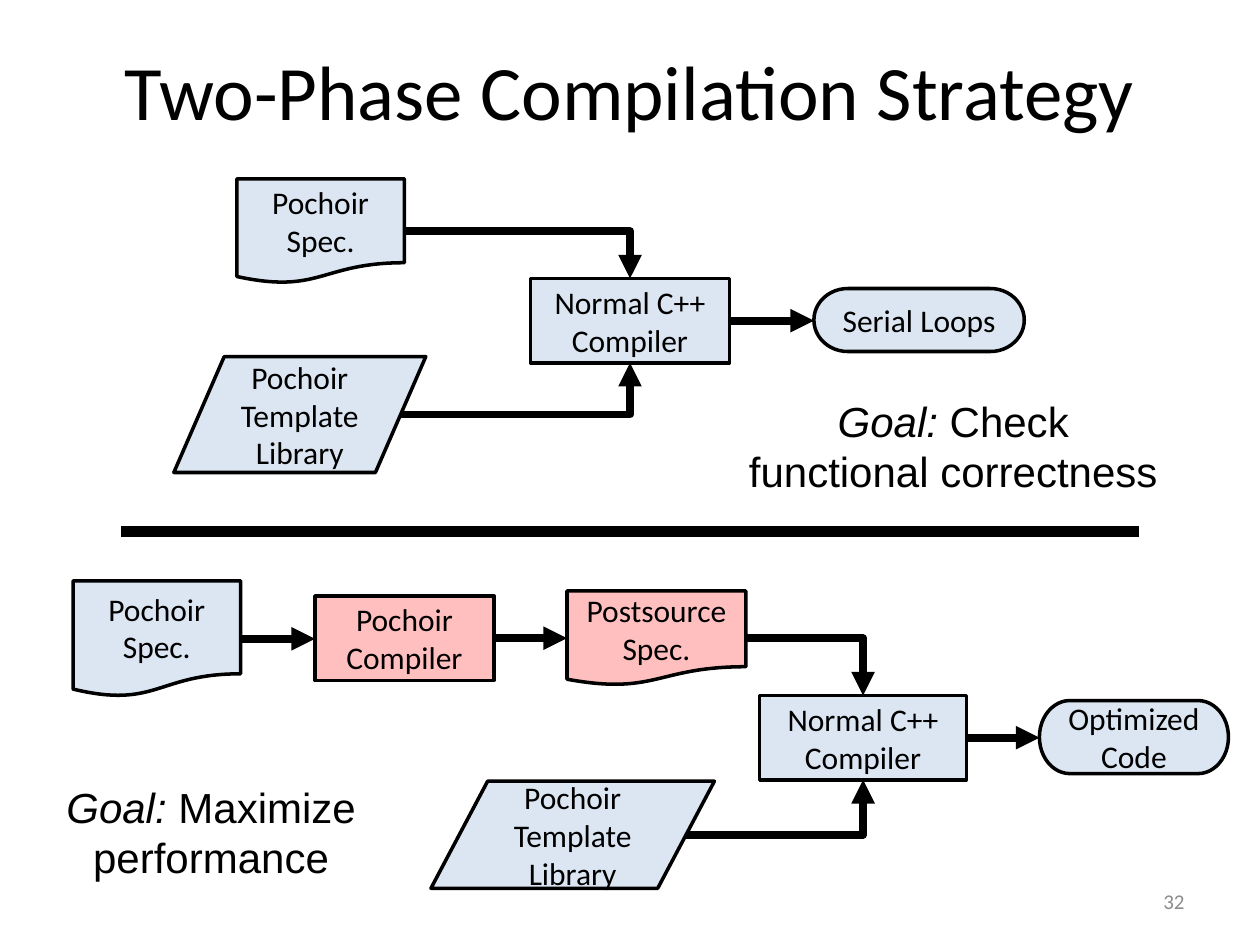
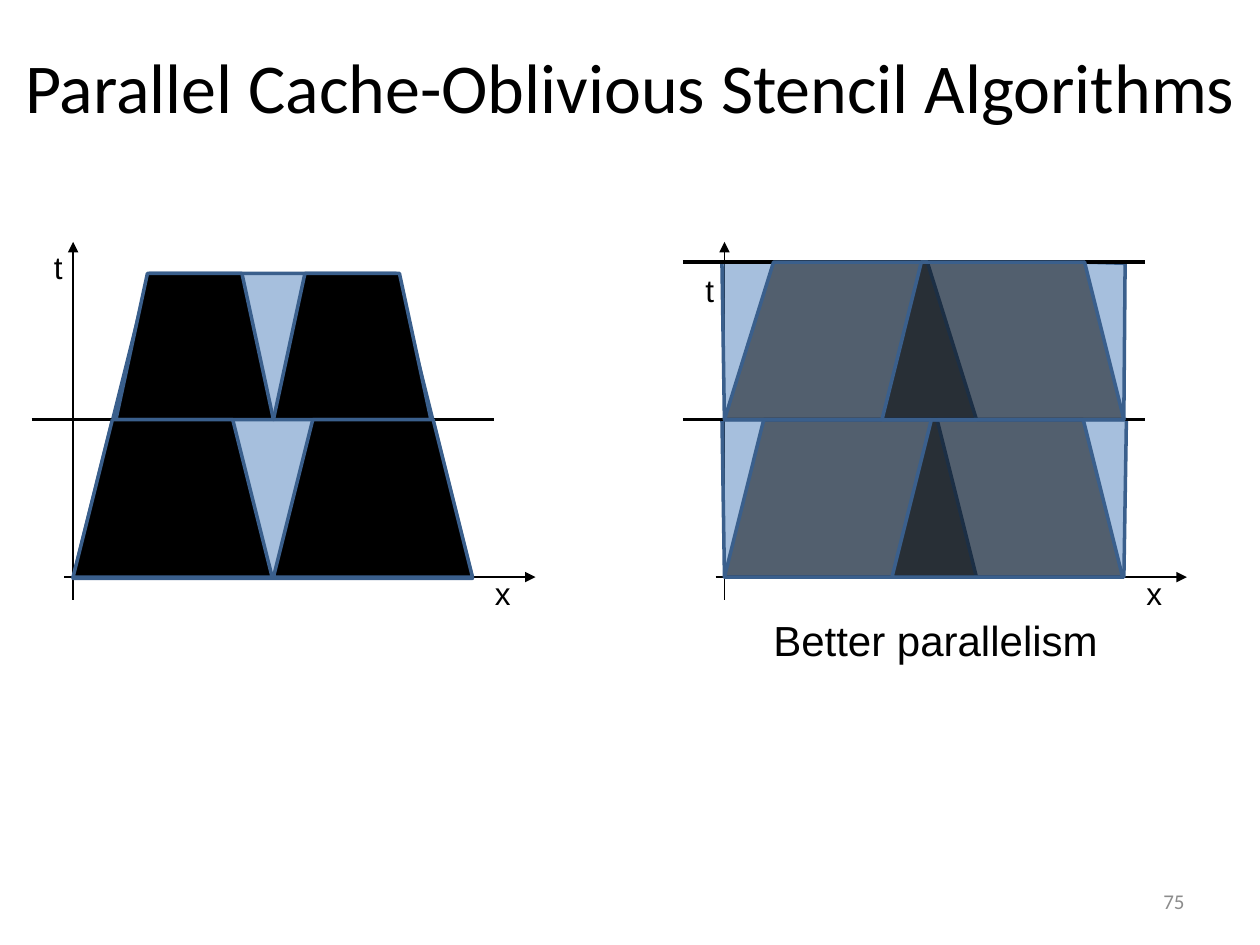
import pptx
import pptx.util
import pptx.dml.color
import pptx.enum.shapes
import pptx.enum.text
import pptx.oxml
import pptx.oxml.ns

RGB = pptx.dml.color.RGBColor
BLACK = RGB(0x00, 0x00, 0x00)
GREY = RGB(0x8C, 0x8C, 0x8C)
PALE = RGB(0xDC, 0xE6, 0xF2)
RED = RGB(0xFF, 0x00, 0x00)
BLUE = RGB(0x4F, 0x81, 0xBD)
EDGE = RGB(0x3A, 0x5F, 0x8C)

SHAPE = pptx.enum.shapes.MSO_SHAPE
DOCUMENT = SHAPE.FLOWCHART_DOCUMENT
DATA = SHAPE.FLOWCHART_DATA
PROCESS = SHAPE.FLOWCHART_PROCESS
TERMINATOR = SHAPE.FLOWCHART_TERMINATOR
STRAIGHT = pptx.enum.shapes.MSO_CONNECTOR.STRAIGHT
ALIGN = pptx.enum.text.PP_ALIGN
ANCHOR = pptx.enum.text.MSO_ANCHOR

WIDTH, HEIGHT = pptx.util.Inches(10), pptx.util.Inches(7.5)
COLS, ROWS = 10, 7.5
PANEL_STEP = 5.17
BASE, MIDDLE, TOP = 4.58, 3.33, 2.08


def col(n):
    """Convert grid columns to a length."""
    return round(WIDTH * n / COLS)


def row(n):
    """Convert grid rows to a length."""
    return round(HEIGHT * n / ROWS)


def grid(x, y, w, h):
    """Convert a grid rectangle to lengths."""
    return col(x), row(y), col(w), row(h)


def add_xml(parent, tag, **attributes):
    """Append a drawing element with attributes."""
    child = pptx.oxml.parse_xml(f'<a:{tag} {pptx.oxml.ns.nsdecls("a")}/>')
    for name, value in attributes.items():
        child.set(name, value)
    parent.append(child)


def write(tf, paragraphs, size, font, color=BLACK, align=ALIGN.CENTER):
    """Write paragraphs given as lists of (text, italic) runs."""
    for i, runs in enumerate(paragraphs):
        p = tf.add_paragraph() if i else tf.paragraphs[0]
        p.alignment = align
        for text, italic in runs:
            r = p.add_run()
            r.text = text
            r.font.size = pptx.util.Pt(size)
            r.font.name = font
            r.font.italic = italic
            r.font.color.rgb = color


def label(s, runs, box, size, font="Arial", color=BLACK, align=ALIGN.CENTER,
          anchor=ANCHOR.TOP, wrap=True):
    """Add a one-paragraph text box."""
    tf = s.shapes.add_textbox(*grid(*box)).text_frame
    tf.word_wrap = wrap
    tf.vertical_anchor = anchor
    write(tf, [runs], size, font, color, align)


def goal(s, text, box):
    """Add a goal statement with an italic lead-in."""
    label(s, [("Goal:", True), (" " + text, False)], box, 24)


def new_slide(prs, title, title_box, size, number):
    """Add a blank slide with its title and number."""
    s = prs.slides.add_slide(prs.slide_layouts[6])
    label(s, [(title, False)], title_box, size, "Calibri")
    label(s, [(str(number), False)], (7.17, 6.95, 2.33, 0.4), 12, "Calibri",
          GREY, ALIGN.RIGHT, ANCHOR.MIDDLE)
    return s


def paint(sp, fill, edge, opacity=100):
    """Set fill, outline and opacity of a shape."""
    sp.shadow.inherit = False
    sp.fill.solid()
    sp.fill.fore_color.rgb = fill
    sp.line.color.rgb = edge
    sp.line.width = pptx.util.Pt(2)
    if opacity < 100:
        solid = sp._element.spPr.find(pptx.oxml.ns.qn("a:solidFill"))
        add_xml(solid[0], "alpha", val=str(opacity * 1000))


def node(s, kind, text, box, fill=PALE, opacity=100):
    """Add a flowchart node, one paragraph per text line."""
    sp = s.shapes.add_shape(kind, *grid(*box))
    paint(sp, fill, BLACK, opacity)
    tf = sp.text_frame
    tf.word_wrap = True
    tf.vertical_anchor = ANCHOR.MIDDLE
    write(tf, [[(line, False)] for line in text.split("\n")], 18, "Calibri")
    return sp


def connect(s, start, end, weight, arrow=False):
    """Draw a straight line between two points."""
    c = s.shapes.add_connector(STRAIGHT, *start, *end)
    c.line.color.rgb = BLACK
    c.line.width = pptx.util.Pt(weight)
    if arrow:
        add_xml(c.line._get_or_add_ln(), "tailEnd", type="triangle")
    add_xml(c._element.spPr, "effectLst")
    return c


def rule(s, x0, y0, x1, y1, weight, arrow=False):
    """Draw a line between two grid points."""
    connect(s, (col(x0), row(y0)), (col(x1), row(y1)), weight, arrow)


def flow(s, src, dst):
    """Join nodes by an arrow, bent once when they are on different rows."""
    slant = src.width // 10 if src.auto_shape_type == DATA else 0
    x, y = src.left + src.width - slant, src.top + src.height // 2
    if dst.top < y < dst.top + dst.height:
        connect(s, (x, y), (dst.left, y), 4.5, True)
        return
    end_y = dst.top if y < dst.top else dst.top + dst.height
    c = connect(s, (x, y), (dst.left + dst.width // 2, end_y), 4.5, True)
    c._element.spPr.prstGeom.set("prst", "bentConnector2")


def trapezoid(s, box, fill, opacity=100):
    """Add a trapezoid of the space-time diagram."""
    paint(s.shapes.add_shape(SHAPE.TRAPEZOID, *grid(*box)), fill, EDGE, opacity)


def polygon(s, points, fill, opacity=100):
    """Add a closed outline through grid points."""
    corners = [(col(x), row(y)) for x, y in points]
    builder = s.shapes.build_freeform(*corners[0])
    builder.add_line_segments(corners[1:], close=True)
    paint(builder.convert_to_shape(), fill, EDGE, opacity)


def axes(s, left, t_top):
    """Draw the x and t axes with their labels."""
    rule(s, left + 0.51, BASE, left + 4.25, BASE, 0.75, True)
    rule(s, left + 0.58, 4.76, left + 0.58, 1.92, 0.75, True)
    for text, x, y, w in (("t", 0.33, t_top, 0.3), ("x", 3.83, 4.51, 0.35)):
        label(s, [(text, False)], (left + x, y, w, 0.4), 18,
              align=ALIGN.LEFT, wrap=False)


def time_cut(s, left, y):
    """Draw a horizontal time cut across a diagram."""
    rule(s, left + 0.25, y, left + 3.92, y, 2)


def compilation_slide(prs):
    """Build the slide on the two compilation phases."""
    s = new_slide(prs, "Two-Phase Compilation Strategy", (0.5, 0.3, 9, 1.25), 44, 32)
    spec_text, library_text = "Pochoir\nSpec.", "Pochoir Template Library"
    compiler_text = "Normal C++ Compiler"

    spec = node(s, DOCUMENT, spec_text, (1.88, 1.42, 1.33, 0.83))
    library = node(s, DATA, library_text, (1.38, 2.83, 2, 0.92))
    compiler = node(s, PROCESS, compiler_text, (4.21, 2.21, 1.58, 0.67))
    loops = node(s, TERMINATOR, "Serial Loops", (6.46, 2.29, 1.67, 0.5))
    goal(s, "Check functional correctness", (5.79, 3.09, 3.55, 0.91))
    links = [(spec, compiler), (library, compiler), (compiler, loops)]

    spec = node(s, DOCUMENT, spec_text, (0.58, 4.61, 1.33, 0.92))
    library = node(s, DATA, library_text, (3.42, 6.2, 2.25, 0.85))
    compiler = node(s, PROCESS, compiler_text, (6.03, 5.52, 1.64, 0.67))
    code = node(s, TERMINATOR, "Optimized Code", (8.25, 5.56, 1.5, 0.58))
    pochoir = node(s, PROCESS, "Pochoir\nCompiler", (2.5, 4.73, 1.42, 0.67), RED, 25)
    post = node(s, DOCUMENT, "Postsource\nSpec.", (4.5, 4.69, 1.42, 0.75), RED, 25)
    goal(s, "Maximize performance", (0.38, 6.15, 2.59, 0.91))
    links += [(spec, pochoir), (pochoir, post), (post, compiler),
              (library, compiler), (compiler, code)]

    rule(s, 0.96, 4.22, 9.04, 4.22, 6)
    for src, dst in links:
        flow(s, src, dst)


def stencil_slide(prs):
    """Build the slide comparing two space-time decompositions."""
    s = new_slide(prs, "Parallel Cache-Oblivious Stencil Algorithms",
                  (0, 0.3, 10, 0.7), 40, 75)
    axes(s, 0, 1.92)
    trapezoid(s, (0.58, 2.17, 3.17, 2.42), BLUE, 50)
    time_cut(s, 0, MIDDLE)
    for x in (0.92, 2.17):
        polygon(s, [(x, MIDDLE), (x + 0.25, 2.17), (x + 1, 2.17),
                    (x + 1.25, MIDDLE)], BLACK)
    for x in (0.58, 2.17):
        trapezoid(s, (x, MIDDLE, 1.58, 1.25), BLACK)

    axes(s, PANEL_STEP, 2.1)
    polygon(s, [(5.75, BASE), (5.73, MIDDLE), (8.94, MIDDLE), (8.92, BASE)], BLUE, 50)
    time_cut(s, PANEL_STEP, MIDDLE)
    trapezoid(s, (5.75, MIDDLE, 2, 1.25), BLACK, 50)
    trapezoid(s, (7.08, MIDDLE, 1.83, 1.25), BLACK, 50)
    polygon(s, [(5.75, MIDDLE), (5.73, TOP), (8.6, TOP), (8.93, 2.09),
                (8.92, MIDDLE)], BLUE, 50)
    time_cut(s, PANEL_STEP, TOP)
    polygon(s, [(5.75, MIDDLE), (6.14, TOP), (7.36, TOP), (7.75, MIDDLE)], BLACK, 50)
    trapezoid(s, (7, TOP, 1.92, 1.25), BLACK, 50)
    label(s, [("Better parallelism", False)], (6.02, 4.83, 2.81, 0.5), 24, wrap=False)


def main():
    """Build and save the presentation."""
    prs = pptx.Presentation()
    prs.slide_width, prs.slide_height = WIDTH, HEIGHT
    compilation_slide(prs)
    stencil_slide(prs)
    prs.save("out.pptx")


if __name__ == "__main__":
    main()
